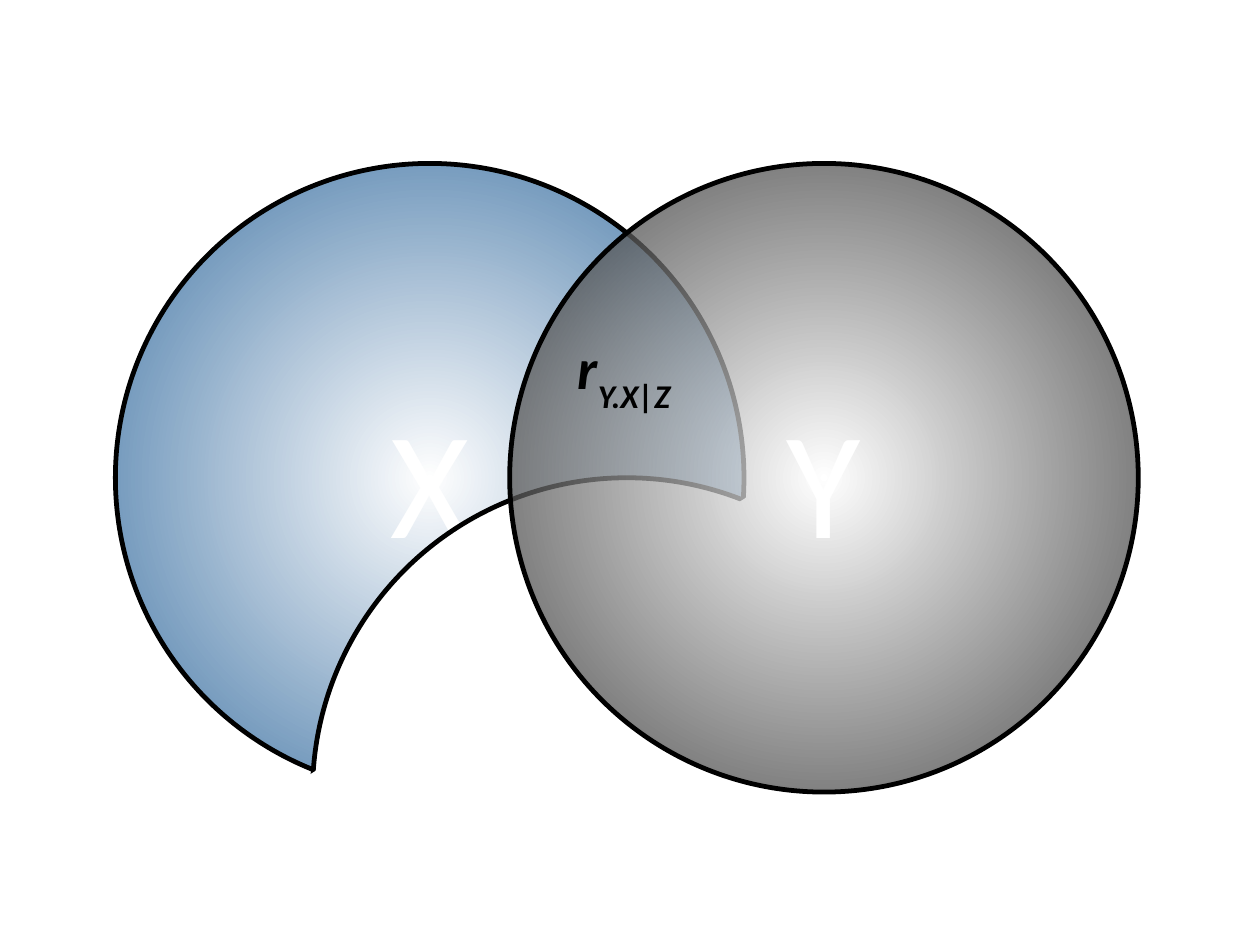
from pptx import Presentation
from pptx import util as u
from pptx.dml.color import RGBColor
from pptx.enum import shapes, text
from pptx.oxml import parse_xml
from pptx.oxml.ns import nsdecls, qn

WIDTH, HEIGHT = u.Emu(10080625), u.Emu(7559675)  # 28 by 21 cm screen format
DIAMETER = 5.5
STEP = 3.45  # distance between the centres of X and Y
BLACK, WHITE = "000000", "FFFFFF"


def color(value):
    return RGBColor.from_string(value)


def add_run(p, label, **formats):
    r = p.add_run()
    r.text = label
    font_formats = {"name": "Calibri", **formats}
    for name, value in font_formats.items():
        setattr(r.font, name, value)
    return r


def add_solid(s, kind, box, line, width):
    sp = s.shapes.add_shape(kind, *(u.Inches(v) for v in box))
    sp.shadow.inherit = False
    sp.fill.solid()
    sp.fill.fore_color.rgb = color(WHITE)
    sp.line.color.rgb = color(line)
    sp.line.width = u.Pt(width)
    return sp


def add_circle(s, left, top):
    box = left, top, DIAMETER, DIAMETER
    return add_solid(s, shapes.MSO_SHAPE.OVAL, box, BLACK, 3)


def add_variable(s, left, top, label, edge):
    """Translucent circle, white in the middle, with a large letter."""
    sp = add_circle(s, left, top)
    stops = "".join(
        f'<a:gs pos="{pos}"><a:srgbClr val="{value}">'
        '<a:alpha val="75000"/></a:srgbClr></a:gs>'
        for pos, value in ((0, WHITE), (100000, edge)))
    gradient = parse_xml(
        f'<a:gradFill {nsdecls("a")} rotWithShape="1"><a:gsLst>{stops}</a:gsLst>'
        '<a:path path="circle"><a:fillToRect l="50000" t="50000" r="50000" '
        'b="50000"/></a:path></a:gradFill>')
    properties = sp._element.spPr
    properties.replace(properties.find(qn("a:solidFill")), gradient)

    tf = sp.text_frame
    frame_formats = {
        "word_wrap": False, "vertical_anchor": text.MSO_ANCHOR.MIDDLE,
        "margin_left": u.Inches(0.12), "margin_right": u.Inches(0.12),
        "margin_top": u.Inches(0.07), "margin_bottom": u.Inches(0.07)}
    for name, value in frame_formats.items():
        setattr(tf, name, value)
    p = tf.paragraphs[0]
    p.alignment = text.PP_ALIGN.CENTER
    r = add_run(p, label, size=u.Pt(96))
    r.font.color.rgb = color(WHITE)


def add_correlation(s, left, top, width, height):
    """Label of the overlap, with a subscript."""
    box = s.shapes.add_textbox(*(u.Inches(v) for v in (left, top, width, height)))
    tf = box.text_frame
    tf.word_wrap = True
    tf.auto_size = text.MSO_AUTO_SIZE.SHAPE_TO_FIT_TEXT
    p = tf.paragraphs[0]
    p.alignment = text.PP_ALIGN.CENTER
    for label, baseline in (("r", None), ("Y.X|Z", "-33000")):
        r = add_run(p, label, size=u.Pt(36), bold=True, italic=True)
        r.font.color.rgb = color(BLACK)
        if baseline:
            r.font._element.set("baseline", baseline)


def add_venn(s, left, top):
    # Variable X
    add_variable(s, left, top, "X", "004586")

    # Circle Z removed from X, with its lower outline cleared
    add_circle(s, left + STEP / 2, top + DIAMETER / 2)
    cover = add_solid(s, shapes.MSO_SHAPE.RECTANGLE,
                      (left + 1.3, top + 3.7, 7.45, 4.96), WHITE, 0)
    cover.rotation = 327.6

    # Variable Y and the partial correlation
    add_variable(s, left + STEP, top, "Y", "111111")
    add_correlation(s, left + STEP, top + 1.43, 2, 0.88)


def main():
    prs = Presentation()
    prs.slide_width, prs.slide_height = WIDTH, HEIGHT
    s = prs.slides.add_slide(prs.slide_layouts[6])
    add_venn(s, 1.01, 1.43)
    prs.save("out.pptx")


if __name__ == "__main__":
    main()
